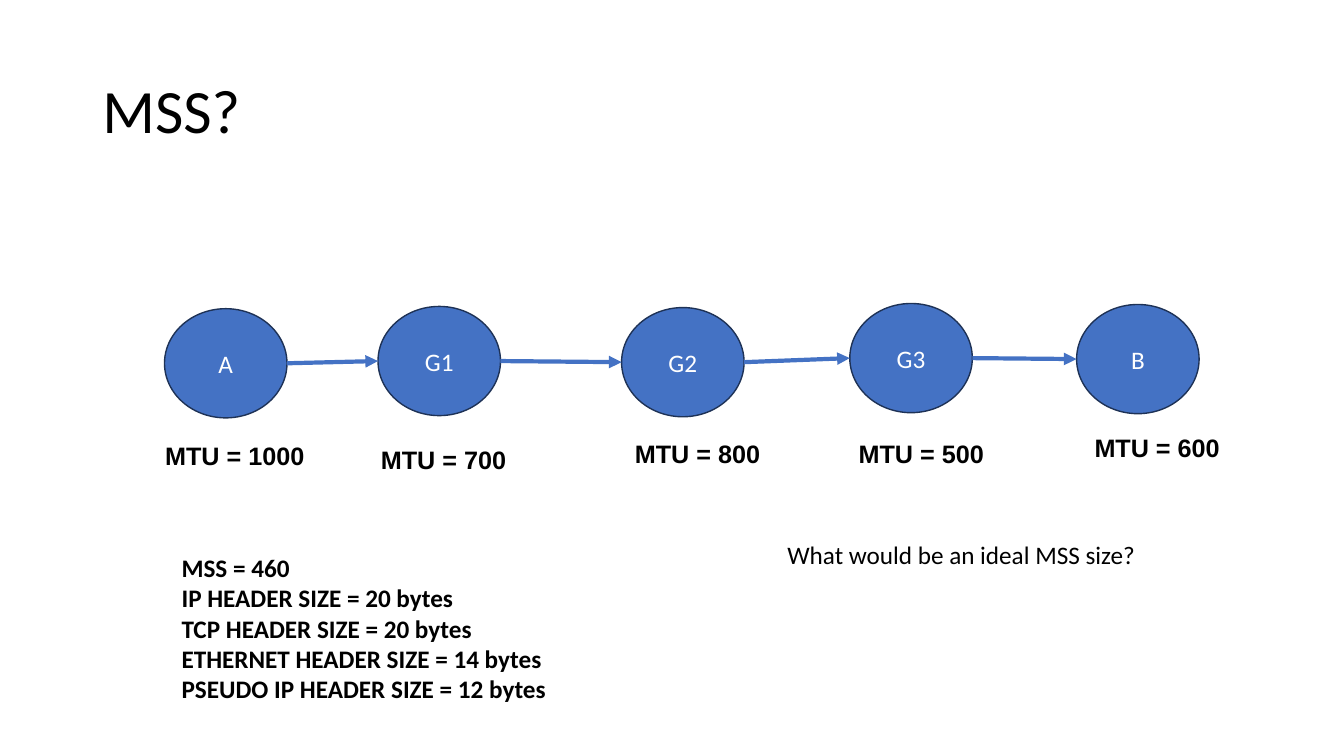
from lxml.etree import SubElement
from pptx import Presentation
from pptx.dml.color import RGBColor
from pptx.enum.shapes import MSO_CONNECTOR, MSO_SHAPE
from pptx.enum.text import MSO_ANCHOR, MSO_AUTO_SIZE, PP_ALIGN
from pptx.oxml.ns import qn
from pptx.util import Pt

BLUE = RGBColor(0x44, 0x72, 0xC4)
NAVY = RGBColor(0x1E, 0x32, 0x56)
BLACK = RGBColor(0, 0, 0)
WHITE = RGBColor(255, 255, 255)

TITLE = "MSS?"
QUESTION = "What would be an ideal MSS size?"
SIZES = [
    "MSS = 460",
    "IP HEADER SIZE = 20 bytes",
    "TCP HEADER SIZE = 20 bytes",
    "ETHERNET HEADER SIZE = 14 bytes",
    "PSEUDO IP HEADER SIZE = 12 bytes",
]
HOPS = [
    ("A", (117.5, 220.5), 1000, (110.9, 311)),
    ("G1", (270, 218.9), 700, (265, 313.9)),
    ("G2", (444, 219.7), 800, (446.4, 309.6)),
    ("G3", (607, 216.8), 500, (606.2, 309.6)),
    ("B", (769, 217.5), 600, (774.7, 305.3)),
]
NODE_WIDTH, NODE_HEIGHT = 87.5, 78
LABEL_WIDTH, LINE_BOX_HEIGHT = 118, 29

BODY = {"name": "Calibri", "size": Pt(18), "bold": False}
STRONG = {**BODY, "bold": True}
LABEL = {**STRONG, "name": "Arial"}
HEADING = {**BODY, "size": Pt(44)}


def write(frame, lines, font_values, color=BLACK, **paragraph_values):
    frame.word_wrap = True
    for index, line in enumerate(lines):
        paragraph = frame.add_paragraph() if index else frame.paragraphs[0]
        paragraph.text = line
        for name, value in paragraph_values.items():
            setattr(paragraph, name, value)
        for name, value in font_values.items():
            setattr(paragraph.font, name, value)
        paragraph.font.color.rgb = color


def add_text(slide, left, top, width, height, lines, font_values):
    box = slide.shapes.add_textbox(Pt(left), Pt(top), Pt(width), Pt(height))
    box.text_frame.auto_size = MSO_AUTO_SIZE.SHAPE_TO_FIT_TEXT
    write(box.text_frame, lines, font_values)


def add_node(slide, name, left, top):
    node = slide.shapes.add_shape(
        MSO_SHAPE.OVAL, Pt(left), Pt(top), Pt(NODE_WIDTH), Pt(NODE_HEIGHT))
    node.shadow.inherit = False
    node.fill.solid()
    node.fill.fore_color.rgb = BLUE
    node.line.color.rgb = NAVY
    node.line.width = Pt(1)
    node.text_frame.vertical_anchor = MSO_ANCHOR.MIDDLE
    write(node.text_frame, [name], BODY, WHITE, alignment=PP_ALIGN.CENTER)
    return node


def add_arrow(slide, source, target):
    arrow = slide.shapes.add_connector(
        MSO_CONNECTOR.STRAIGHT,
        source.left + source.width, source.top + source.height // 2,
        target.left, target.top + target.height // 2)
    arrow.line.color.rgb = BLUE
    arrow.line.width = Pt(3)
    SubElement(arrow.line._get_or_add_ln(), qn("a:tailEnd"), type="triangle")
    SubElement(arrow._element.spPr, qn("a:effectLst"))


def main():
    presentation = Presentation()
    presentation.slide_width, presentation.slide_height = Pt(960), Pt(540)
    slide = presentation.slides.add_slide(presentation.slide_layouts[5])

    title = slide.shapes.title
    title.left, title.top, title.width, title.height = Pt(66), Pt(28.75), Pt(828), Pt(104.4)
    title.text_frame.vertical_anchor = MSO_ANCHOR.MIDDLE
    write(title.text_frame, [TITLE], HEADING, alignment=PP_ALIGN.LEFT, line_spacing=0.9)

    nodes = [add_node(slide, name, *place) for name, place, _, _ in HOPS]
    for _, _, mtu, place in HOPS:
        add_text(slide, *place, LABEL_WIDTH, LINE_BOX_HEIGHT, [f"MTU = {mtu}"], LABEL)
    add_text(slide, 122.6, 391, 337, 116.6, SIZES, STRONG)
    for source, target in zip(nodes, nodes[1:]):
        add_arrow(slide, source, target)
    add_text(slide, 555.3, 381.6, 301, LINE_BOX_HEIGHT, [QUESTION], BODY)

    presentation.save("out.pptx")


if __name__ == "__main__":
    main()
